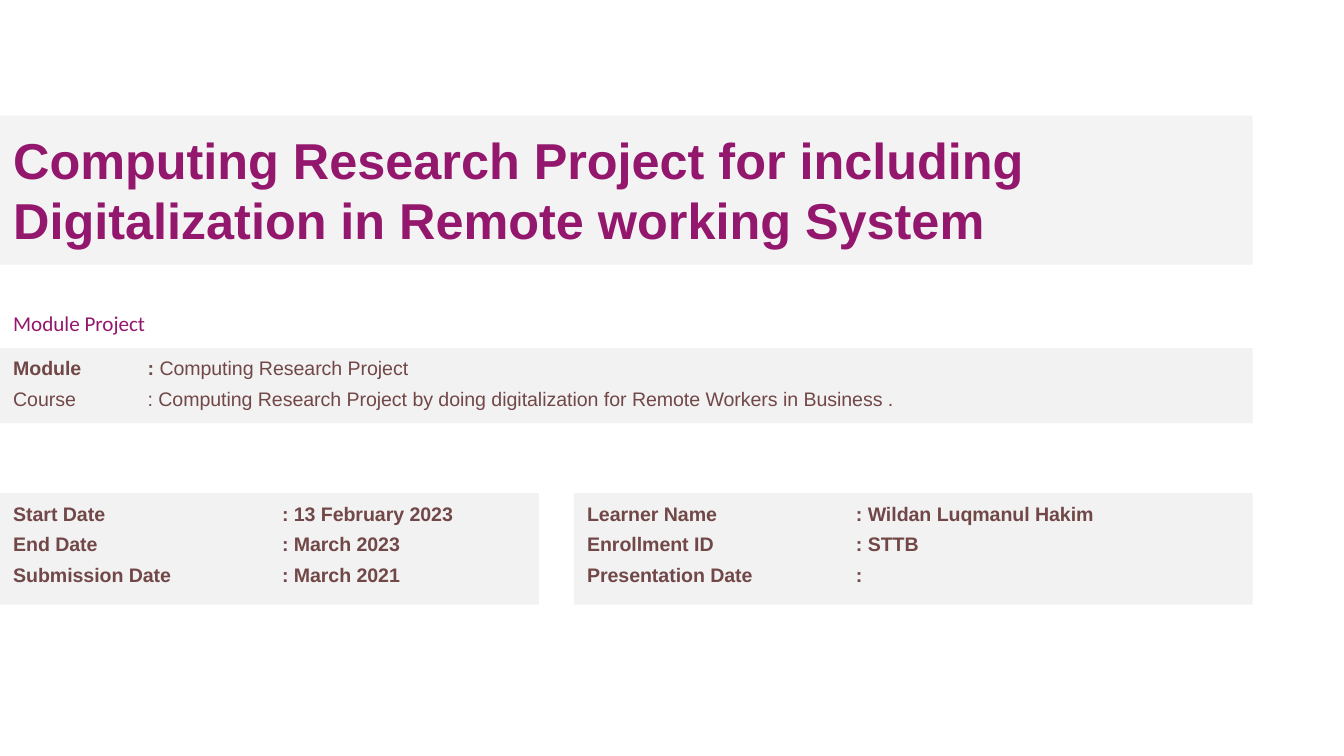
from lxml.etree import SubElement
from pptx import Presentation
from pptx.dml.color import RGBColor
from pptx.enum.shapes import MSO_SHAPE as Shape
from pptx.enum.text import MSO_ANCHOR as Anchor, PP_ALIGN as Align
from pptx.oxml.ns import qn
from pptx.util import Inches, Pt

PURPLE = RGBColor(0x93, 0x17, 0x6C)
BROWN = RGBColor(0x72, 0x47, 0x47)
TITLE_GREY = RGBColor(0xF3, 0xF3, 0xF3)
PANEL_GREY = RGBColor(0xF2, 0xF2, 0xF2)

TITLE_FONT = {"name": "Arial", "size": Pt(27), "bold": True}
HEADING_FONT = {"name": "Calibri", "size": Pt(11.25), "bold": False}
BOLD = {"name": "Arial", "size": Pt(10.5), "bold": True}
REGULAR = {**BOLD, "bold": False}
LINE_FORMAT = {"alignment": Align.LEFT, "line_spacing": Pt(13.5), "space_after": Pt(1.5)}

MODULE_LINES = [
    [("Module\t: ", BOLD), ("Computing Research Project", REGULAR)],
    [("Course\t: Computing Research Project by doing digitalization "
      "for Remote Workers in Business .", REGULAR)],
]
DATE_LINES = [
    [("Start Date\t: 13 February 2023", BOLD)],
    [("End Date\t: March 2023", BOLD)],
    [("Submission Date\t: March 2021", BOLD)],
]
LEARNER_LINES = [
    [("Learner Name\t: Wildan Luqmanul Hakim", BOLD)],
    [("Enrollment ID\t: STTB", BOLD)],
    [("Presentation Date\t:", BOLD)],
]


def set_attributes(target, values):
    for name, value in values.items():
        setattr(target, name, value)


def style_font(font, values, color):
    set_attributes(font, values)
    font.color.rgb = color


def add_panel(slide, left, top, width, height, color, margins):
    """Add a grey rectangle and return its text frame."""
    panel = slide.shapes.add_shape(
        Shape.RECTANGLE, Inches(left), Inches(top), Inches(width), Inches(height))
    panel.shadow.inherit = False
    panel.fill.solid()
    panel.fill.fore_color.rgb = color
    panel.line.fill.background()
    frame = panel.text_frame
    set_attributes(frame, {"word_wrap": True, "vertical_anchor": Anchor.TOP, **margins})
    return frame


def add_title(slide, text):
    sides = ("left", "top", "right", "bottom")
    margins = {f"margin_{side}": Inches(0.1) for side in sides}
    frame = add_panel(slide, 0, 0.86, 9.32, 1.11, TITLE_GREY, margins)
    frame.text = text
    paragraph = frame.paragraphs[0]
    paragraph.alignment = Align.LEFT
    for run in paragraph.runs:
        style_font(run.font, TITLE_FONT, PURPLE)


def add_heading(slide, text):
    box = slide.shapes.add_textbox(Inches(0), Inches(2.17), Inches(4.81), Inches(0.47))
    frame = box.text_frame
    set_attributes(frame, {"word_wrap": True, "vertical_anchor": Anchor.MIDDLE})
    run = frame.paragraphs[0].add_run()
    run.text = text
    style_font(run.font, HEADING_FONT, PURPLE)


def add_tab_stop(paragraph, position):
    tabs = SubElement(paragraph._p.get_or_add_pPr(), qn("a:tabLst"))
    SubElement(tabs, qn("a:tab"), pos=str(Inches(position)), algn="l")


def add_details(slide, left, top, width, height, tab, lines):
    """Add a panel of labels whose values line up at the tab stop."""
    frame = add_panel(slide, left, top, width, height, PANEL_GREY,
                      {"margin_top": Inches(0.05)})
    for index, runs in enumerate(lines):
        paragraph = frame.add_paragraph() if index else frame.paragraphs[0]
        add_tab_stop(paragraph, tab)
        set_attributes(paragraph, LINE_FORMAT)
        paragraph.space_before = Pt(1.5 if index else 0)
        for text, font in runs:
            run = paragraph.add_run()
            run.text = text
            style_font(run.font, font, BROWN)


def main():
    presentation = Presentation()
    presentation.slide_width = Inches(10)
    presentation.slide_height = presentation.slide_width * 9 // 16
    slide = presentation.slides.add_slide(presentation.slide_layouts[6])
    add_title(slide, "Computing Research Project for including \v"
                     "Digitalization in Remote working System")
    add_details(slide, 0, 2.59, 9.32, 0.56, 1, MODULE_LINES)
    add_heading(slide, "Module Project")
    add_details(slide, 0, 3.67, 4.01, 0.83, 2, DATE_LINES)
    add_details(slide, 4.27, 3.67, 5.05, 0.83, 2, LEARNER_LINES)
    presentation.save("out.pptx")


if __name__ == "__main__":
    main()
